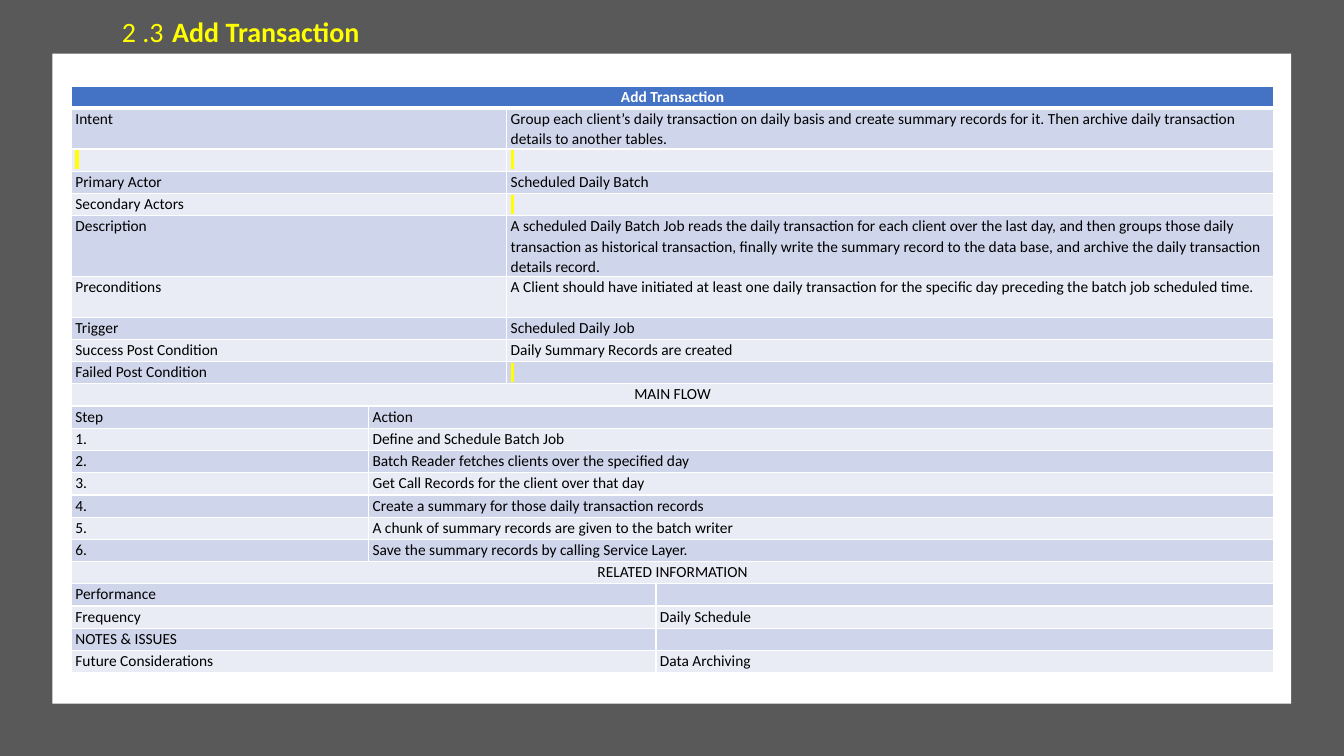
"""Build the Add Transaction use case slide."""
from typing import NamedTuple

from lxml import etree
from pptx import Presentation
from pptx.dml.color import RGBColor
from pptx.enum.shapes import MSO_SHAPE
from pptx.enum.text import MSO_ANCHOR, PP_ALIGN
from pptx.oxml.ns import qn
from pptx.util import Cm, Pt

RECTANGLE = MSO_SHAPE.RECTANGLE
TOP = MSO_ANCHOR.TOP
LEFT, CENTER = PP_ALIGN.LEFT, PP_ALIGN.CENTER

WHITE = RGBColor(0xFF, 0xFF, 0xFF)
BLACK = RGBColor(0x00, 0x00, 0x00)
YELLOW = RGBColor(0xFF, 0xFF, 0x00)
GREY = RGBColor(0x59, 0x59, 0x59)
BLUE = RGBColor(0x44, 0x72, 0xC4)
DARK_BAND = RGBColor(0xCF, 0xD5, 0xEA)
LIGHT_BAND = RGBColor(0xE9, 0xEB, 0xF5)

FONT = "Calibri"
TABLE_SIZE = 11
MARK = " "
COLUMNS = (7.49, 3.48, 3.76, 15.57)
LINE, TWO_LINES, THREE_LINES = 0.56, 1.02, 1.52


class Panel(NamedTuple):
    """A plain filled rectangle, in centimetres."""
    left: float
    top: float
    width: float
    height: float
    color: RGBColor


class Entry(NamedTuple):
    """A table row whose second cell starts at column split."""
    split: int
    label: str
    value: str = ""
    height: float = LINE


FULL, STEP, DETAIL, RELATED = 4, 1, 2, 3

PANELS = (
    Panel(0, 0, 33.87, 19.05, GREY),
    Panel(1.32, 1.35, 31.22, 16.38, WHITE),
)

ENTRIES = (
    Entry(FULL, "Add Transaction"),
    Entry(DETAIL, "Intent", "Group each client’s daily transaction on daily basis and create "
          "summary records for it. Then archive daily transaction details to another tables.",
          TWO_LINES),
    Entry(DETAIL, MARK, MARK),
    Entry(DETAIL, "Primary Actor", "Scheduled Daily Batch"),
    Entry(DETAIL, "Secondary Actors", MARK),
    Entry(DETAIL, "Description", "A scheduled Daily Batch Job reads the daily transaction for "
          "each client over the last day, and then groups those daily transaction as historical "
          "transaction, finally write the summary record to the data base, and archive the daily "
          "transaction details record.", THREE_LINES),
    Entry(DETAIL, "Preconditions", "A Client should have initiated at least one daily "
          "transaction for the specific day preceding the batch job scheduled time.", TWO_LINES),
    Entry(DETAIL, "Trigger", "Scheduled Daily Job"),
    Entry(DETAIL, "Success Post Condition", "Daily Summary Records are created"),
    Entry(DETAIL, "Failed Post Condition", MARK),
    Entry(FULL, "MAIN FLOW"),
    Entry(STEP, "Step", "Action"),
    Entry(STEP, "1. ", "Define and Schedule Batch Job"),
    Entry(STEP, "2. ", "Batch Reader fetches clients over the specified day"),
    Entry(STEP, "3. ", "Get Call Records for the client over that day"),
    Entry(STEP, "4. ", "Create a summary for those daily transaction records"),
    Entry(STEP, "5. ", "A chunk of summary records are given to the batch writer"),
    Entry(STEP, "6. ", "Save the summary records by calling Service Layer."),
    Entry(FULL, "RELATED INFORMATION"),
    Entry(RELATED, "Performance"),
    Entry(RELATED, "Frequency", "Daily Schedule"),
    Entry(RELATED, "NOTES & ISSUES"),
    Entry(RELATED, "Future Considerations", "Data Archiving"),
)


def add_span(para, text: str, *, size: float, color: RGBColor, bold: bool = False,
             highlight: RGBColor | None = None) -> None:
    """Append one formatted run to a paragraph."""
    span = para.add_run()
    span.text = text
    span.font.size = Pt(size)
    span.font.bold = bold
    span.font.color.rgb = color
    span.font.name = FONT
    if highlight is not None:
        mark = etree.Element(qn("a:highlight"))
        etree.SubElement(mark, qn("a:srgbClr"), val=str(highlight))
        span.font.fill._xPr.find(qn("a:solidFill")).addnext(mark)


def add_panel(page, panel: Panel) -> None:
    """Draw one plain rectangle."""
    shape = page.shapes.add_shape(RECTANGLE, Cm(panel.left), Cm(panel.top),
                                  Cm(panel.width), Cm(panel.height))
    shape.shadow.inherit = False
    shape.fill.solid()
    shape.fill.fore_color.rgb = panel.color
    shape.line.fill.background()


def style_cell(cell, fill: RGBColor, bottom: float) -> None:
    """Set the borders, fill and margins of a cell."""
    properties = cell._tc.get_or_add_tcPr()
    for side, width in (("L", 1), ("R", 1), ("T", 1), ("B", bottom)):
        line = etree.SubElement(properties, qn(f"a:ln{side}"), w=str(Pt(width)))
        solid = etree.SubElement(line, qn("a:solidFill"))
        etree.SubElement(solid, qn("a:srgbClr"), val=str(WHITE))
    cell.fill.solid()
    cell.fill.fore_color.rgb = fill
    cell.margin_left = cell.margin_right = Cm(0.1)
    cell.margin_top = cell.margin_bottom = 0


def write_cell(cell, text: str, *, color: RGBColor, bold: bool, align: PP_ALIGN) -> None:
    """Write the text of a cell, or fix the height of an empty one."""
    para = cell.text_frame.paragraphs[0]
    para.alignment = align
    para.line_spacing = 1.07
    if text:
        add_span(para, text, size=TABLE_SIZE, color=color, bold=bold,
                 highlight=YELLOW if text == MARK else None)
    else:
        etree.SubElement(para._p, qn("a:endParaRPr"), sz=str(TABLE_SIZE * 100))


def add_use_case(page) -> None:
    """Draw the use case table."""
    height = sum(entry.height for entry in ENTRIES)
    table = page.shapes.add_table(len(ENTRIES), len(COLUMNS), Cm(1.8), Cm(2.17),
                                  Cm(sum(COLUMNS)), Cm(height)).table
    for column, width in zip(table.columns, COLUMNS):
        column.width = Cm(width)
    last = len(COLUMNS) - 1
    for index, entry in enumerate(ENTRIES):
        header = index == 0
        fill = BLUE if header else DARK_BAND if index % 2 else LIGHT_BAND
        table.rows[index].height = Cm(entry.height)
        texts = {0: entry.label, entry.split: entry.value}
        for column in range(len(COLUMNS)):
            cell = table.cell(index, column)
            style_cell(cell, fill, 3 if header else 1)
            write_cell(cell, texts.get(column, ""), color=WHITE if header else BLACK,
                       bold=header, align=CENTER if entry.split == FULL else LEFT)
        for first, end in ((0, entry.split - 1), (entry.split, last)):
            if first < end:
                table.cell(index, first).merge(table.cell(index, end))


def add_title(page) -> None:
    """Write the numbered section title."""
    box = page.shapes.add_textbox(Cm(2.82), Cm(0.25), Cm(11.15), Cm(2.18))
    frame = box.text_frame
    frame.word_wrap = True
    frame.vertical_anchor = TOP
    para = frame.paragraphs[0]
    para.space_after = Pt(6)
    add_span(para, "2 .3", size=20, color=YELLOW)
    add_span(para, "\tAdd Transaction", size=20, color=YELLOW, bold=True)


def main() -> None:
    """Build and save the deck."""
    deck = Presentation()
    deck.slide_width, deck.slide_height = Cm(33.87), Cm(19.05)
    page = deck.slides.add_slide(deck.slide_layouts[6])
    for panel in PANELS:
        add_panel(page, panel)
    add_use_case(page)
    add_title(page)
    deck.save("out.pptx")


if __name__ == "__main__":
    main()
